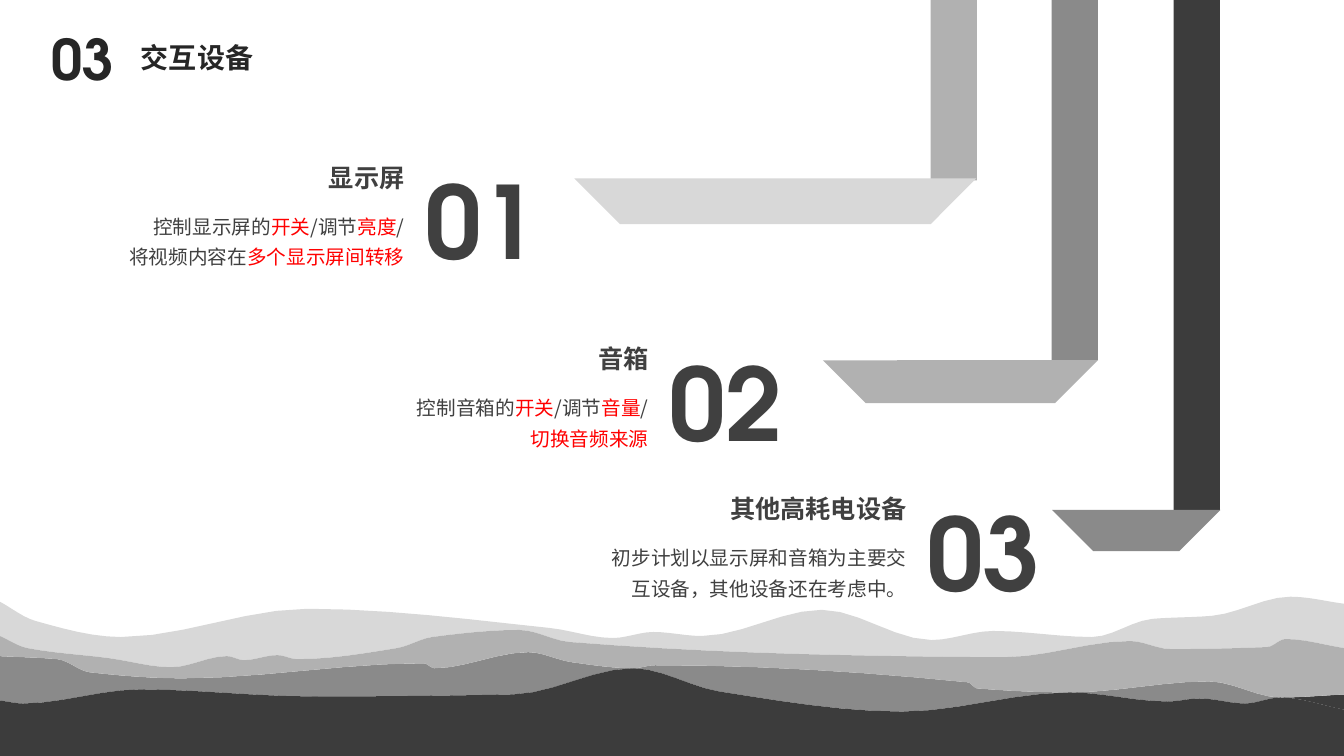
from dataclasses import dataclass
from itertools import pairwise

from lxml.etree import SubElement
from pptx import Presentation
from pptx.dml.color import RGBColor
from pptx.enum.shapes import MSO_SHAPE as Preset
from pptx.enum.text import MSO_ANCHOR as Anchor, MSO_AUTO_SIZE as AutoSize, PP_ALIGN as Align
from pptx.oxml.ns import qn
from pptx.util import Inches, Pt


@dataclass(frozen=True)
class Theme:
    tones: tuple = ("D8D8D8", "B1B1B1", "8A8A8A", "3C3C3C")
    title: str = "262626"
    ink: str = "404040"
    accent: str = "FF0000"
    latin: str = "TeX Gyre Adventor"
    cjk: str = "Noto Sans CJK SC"
    section_size: int = 40
    title_size: int = 20
    number_size: int = 72
    heading_size: int = 18
    body_size: int = 14


THEME = Theme()
WIDTH, HEIGHT = 13.33, 7.5
CURVE_STEPS = 6

LIGHT_RIDGE = [
    (0, 5.97), (0.35, 6.16), (1.2, 6.32), (3.05, 6.04), (5.45, 6.23), (6.08, 6.33),
    (6.48, 6.27), (6.96, 6.31), (8.15, 6.05), (9.24, 6.35), (9.85, 6.26),
    (10.83, 6.32), (11.43, 6.14), (12.02, 6.11), (12.8, 5.92), (WIDTH, 5.99),
]
MIDDLE_RIDGE = [
    (0, 6.31), (0.27, 6.43), (1.08, 6.53), (1.7, 6.62), (2.25, 6.51), (2.42, 6.55),
    (2.75, 6.5), (2.95, 6.54), (3.94, 6.43), (4.29, 6.32), (5.15, 6.25), (5.65, 6.37),
    (8.4, 6.5), (9.97, 6.52), (11.21, 6.36), (11.61, 6.44), (12.57, 6.42),
    (12.75, 6.34), (WIDTH, 6.43),
]
DARK_RIDGE = [
    (0, 6.51), (0.57, 6.54), (0.89, 6.67), (1.81, 6.73), (4.2, 6.58), (4.31, 6.63),
    (5.24, 6.47), (5.67, 6.57), (6.28, 6.63), (6.5, 6.6), (9.6, 6.77), (9.69, 6.83),
    (10.61, 6.87), (11.99, 6.76), (12.7, 6.92), (WIDTH, 6.89),
]
FRONT_RIDGE = [
    (0, 6.95), (0.23, 6.98), (1.39, 6.84), (3.1, 6.91), (5.09, 6.89), (6.28, 6.63),
    (7.13, 6.86), (8.95, 7.06), (10.61, 6.87), (11.58, 6.96), (11.9, 6.93),
    (12.35, 6.98), (12.7, 6.92), (WIDTH, 7.04),
]
RIDGE_CROSSINGS = (0, 6.28, 10.61, 12.7, WIDTH)

DEVICES = [
    ("01", "显示屏", 0.92, 1.17, 9.23, 1.79, (6.28, 0.36, 2.82, 0.773),
     ["控制显示屏的|开关|/调节|亮度|/", "将视频内容在|多个显示屏间转移"]),
    ("02", "音箱", 3.34, 2.97, 10.43, 3.57, (8.56, 2.61, 1.93, 0.688),
     ["控制音箱的|开关|/调节|音量|/", "|切换音频来源"]),
    ("03", "其他高耗电设备", 5.9, 4.46, 11.64, 5.06, (10.68, 4.47, 1.18, 0.512),
     ["初步计划以显示屏和音箱为主要交互设备，其他设备还在考虑中。"]),
]


def trace(ridge):
    grades = [(d - b) / (c - a) for (a, b), (c, d) in pairwise(ridge)]
    slopes = [2 * g * h / (g + h) if g * h > 0 else 0 for g, h in pairwise(grades)]
    slopes = [grades[0], *slopes, grades[-1]]
    points = [ridge[0]]
    for ((a, b), start), ((c, d), end) in pairwise(zip(ridge, slopes)):
        for i in range(1, CURVE_STEPS):
            t, span = i / CURVE_STEPS, c - a
            ease = t * t * (3 - 2 * t)
            lean = span * t * (1 - t) * (start * (1 - t) - end * t)
            points.append((a + span * t, b + (d - b) * ease + lean))
        points.append((c, d))
    return points


def between(points, left, right):
    return [point for point in points if left <= point[0] <= right]


def paint(shape, color):
    shape.shadow.inherit = False
    shape.fill.solid()
    shape.fill.fore_color.rgb = RGBColor.from_string(color)
    shape.line.fill.background()


def add_band(slide, upper, lower, color):
    outline = [(Inches(x), Inches(y)) for x, y in upper + lower[::-1]]
    builder = slide.shapes.build_freeform(*outline[0])
    builder.add_line_segments(outline[1:], close=True)
    paint(builder.convert_to_shape(), color)


def add_mountains(slide):
    light, middle, dark, front = THEME.tones
    light_line, middle_line, dark_line, front_line = map(
        trace, (LIGHT_RIDGE, MIDDLE_RIDGE, DARK_RIDGE, FRONT_RIDGE))
    add_band(slide, light_line, middle_line, light)
    for ends, color in zip(pairwise(RIDGE_CROSSINGS), (dark, dark, dark, front)):
        add_band(slide, between(dark_line, *ends), between(front_line, *ends), color)
    add_band(slide, middle_line, dark_line, middle)
    add_band(slide, front_line, [(0, HEIGHT), (WIDTH, HEIGHT)], front)


def add_text(slide, box, lines, size, color=THEME.ink, font=THEME.latin, bold=True,
             align=Align.LEFT, spacing=1.3, wrap=False, fit=AutoSize.SHAPE_TO_FIT_TEXT, anchor=Anchor.TOP):
    frame = slide.shapes.add_textbox(*map(Inches, box)).text_frame
    frame.word_wrap, frame.auto_size, frame.vertical_anchor = wrap, fit, anchor
    for i, line in enumerate(lines):
        paragraph = frame.add_paragraph() if i else frame.paragraphs[0]
        paragraph.alignment, paragraph.line_spacing = align, spacing
        style = paragraph.font
        style.size, style.bold, style.name = Pt(size), bold, font
        style.color.rgb = RGBColor.from_string(color)
        SubElement(paragraph._p.pPr.find(qn("a:defRPr")), qn("a:ea"), typeface=THEME.cjk)
        for part, words in enumerate(line.split("|")):
            if words:
                run = paragraph.add_run()
                run.text = words
                if part % 2:
                    run.font.color.rgb = RGBColor.from_string(THEME.accent)


def add_ribbon(slide, bar_left, bar_height, stripe, bar_color, stripe_color):
    bar = slide.shapes.add_shape(Preset.RECTANGLE, *map(Inches, (bar_left, 0, 0.46, bar_height)))
    paint(bar, bar_color)
    left, top, side, cut = stripe
    fold = slide.shapes.add_shape(Preset.DIAGONAL_STRIPE, *map(Inches, (left, top, side, side)))
    fold.adjustments[0] = cut
    fold.rotation = 315
    fold._element.spPr.find(qn("a:xfrm")).set("flipV", "1")
    paint(fold, stripe_color)


def add_device(slide, number, heading, left, top, details):
    right = left + 3.19
    heading_width = 0.21 + 0.25 * len(heading)
    add_text(slide, (left, top + 0.84, 3.19, 0.68), details, THEME.body_size,
             font=THEME.cjk, bold=False, align=Align.RIGHT, wrap=True)
    add_text(slide, (right - heading_width, top + 0.3, heading_width, 0.46), [heading],
             THEME.heading_size, align=Align.RIGHT)
    add_text(slide, (right + 0.01, top, 1.33, 1.5), [number], THEME.number_size)


def main():
    deck = Presentation()
    deck.slide_width, deck.slide_height = Inches(WIDTH), Inches(HEIGHT)
    slide = deck.slides.add_slide(deck.slide_layouts[6])
    add_mountains(slide)
    titling = dict(color=THEME.title, spacing=0.9, wrap=True, fit=AutoSize.NONE)
    add_text(slide, (0.41, 0.27, 0.88, 0.64), ["03"], THEME.section_size, **titling)
    add_text(slide, (1.3, 0.4, 2.04, 0.37), ["交互设备"], THEME.title_size, anchor=Anchor.MIDDLE, **titling)
    ribbon_tones = list(zip(THEME.tones[1:], THEME.tones))
    for device, tones in reversed(list(zip(DEVICES, ribbon_tones))):
        number, heading, left, top, bar_left, bar_height, stripe, details = device
        add_ribbon(slide, bar_left, bar_height, stripe, *tones)
        add_device(slide, number, heading, left, top, details)
    deck.save("out.pptx")


if __name__ == "__main__":
    main()
